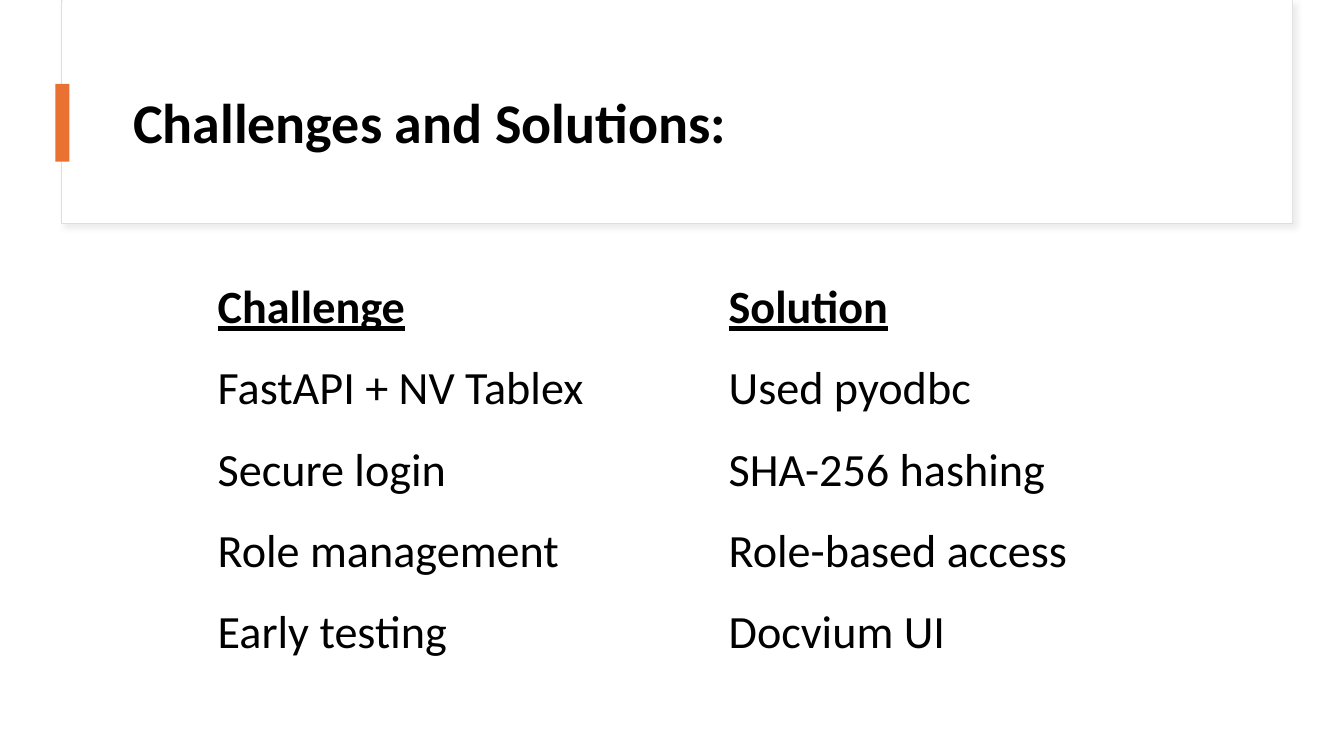
import pptx
import pptx.dml.color
import pptx.enum.shapes
import pptx.enum.text
import pptx.oxml
import pptx.oxml.ns
import pptx.util

HEADING = "Challenges and Solutions:"
ANSWERS = [
    ("Challenge", "Solution"),
    ("FastAPI + NV Tablex", "Used pyodbc"),
    ("Secure login", "SHA-256 hashing"),
    ("Role management", "Role-based access"),
    ("Early testing", "Docvium UI"),
]
COLUMN_WIDTHS = (365, 326)
ROW_HEIGHT = 58
CELL_MARGINS = (13, 6.5)
BLACK, WHITE, ORANGE, GREY = "000000", "FFFFFF", "E97132", "DEDEDE"
SHADOW = (
    f'<a:outerShdw {pptx.oxml.ns.nsdecls("a")} blurRad="50800" dist="38100" dir="2700000" '
    'algn="tl" rotWithShape="0"><a:srgbClr val="D9D9D9"><a:alpha val="50000"/>'
    "</a:srgbClr></a:outerShdw>"
)
Pt = pptx.util.Pt


def colour(value):
    return pptx.dml.color.RGBColor.from_string(value)


def add_block(left, top, width, height, fill):
    block = slide.shapes.add_shape(
        pptx.enum.shapes.MSO_SHAPE.RECTANGLE, Pt(left), Pt(top), Pt(width), Pt(height))
    block.shadow.inherit = False
    block.fill.solid()
    block.fill.fore_color.rgb = colour(fill)
    block.line.fill.background()
    return block


def write(frame, words, size, bold, underline=False):
    frame.text = words
    font = frame.paragraphs[0].runs[0].font
    font.name = "Calibri"
    font.size = Pt(size)
    font.bold = bold
    font.underline = underline
    font.color.rgb = colour(BLACK)


deck = pptx.Presentation()
deck.slide_width, deck.slide_height = Pt(960), Pt(540)
slide = deck.slides.add_slide(deck.slide_layouts[6])

frame = add_block(44, 0.7, 879, 159, WHITE)
frame.line.color.rgb = colour(GREY)
frame.line.width = Pt(0.75)
effects = frame._element.spPr.find(pptx.oxml.ns.qn("a:effectLst"))
effects.append(pptx.oxml.parse_xml(SHADOW))
add_block(44.5, 0, 878.5, 158.5, WHITE)

heading = slide.shapes.add_textbox(Pt(88), Pt(43), Pt(800), Pt(93)).text_frame
heading.word_wrap = True
heading.vertical_anchor = pptx.enum.text.MSO_ANCHOR.MIDDLE
write(heading, HEADING, 40, True)
heading.paragraphs[0].line_spacing = 0.9

add_block(39.5, 60, 10, 55.5, ORANGE)

answers = slide.shapes.add_table(
    len(ANSWERS), len(COLUMN_WIDTHS), Pt(142.5), Pt(191),
    Pt(sum(COLUMN_WIDTHS)), Pt(ROW_HEIGHT * len(ANSWERS))).table
answers.first_row = answers.horz_banding = False
for column, width in zip(answers.columns, COLUMN_WIDTHS):
    column.width = Pt(width)
for row_index, row in enumerate(ANSWERS):
    answers.rows[row_index].height = Pt(ROW_HEIGHT)
    is_header = row_index == 0
    for column_index, words in enumerate(row):
        cell = answers.cell(row_index, column_index)
        cell.fill.background()
        cell.vertical_anchor = pptx.enum.text.MSO_ANCHOR.MIDDLE
        cell.margin_left = cell.margin_right = Pt(CELL_MARGINS[0])
        cell.margin_top = cell.margin_bottom = Pt(CELL_MARGINS[1])
        write(cell.text_frame, words, 33, is_header, is_header)

deck.save("out.pptx")
